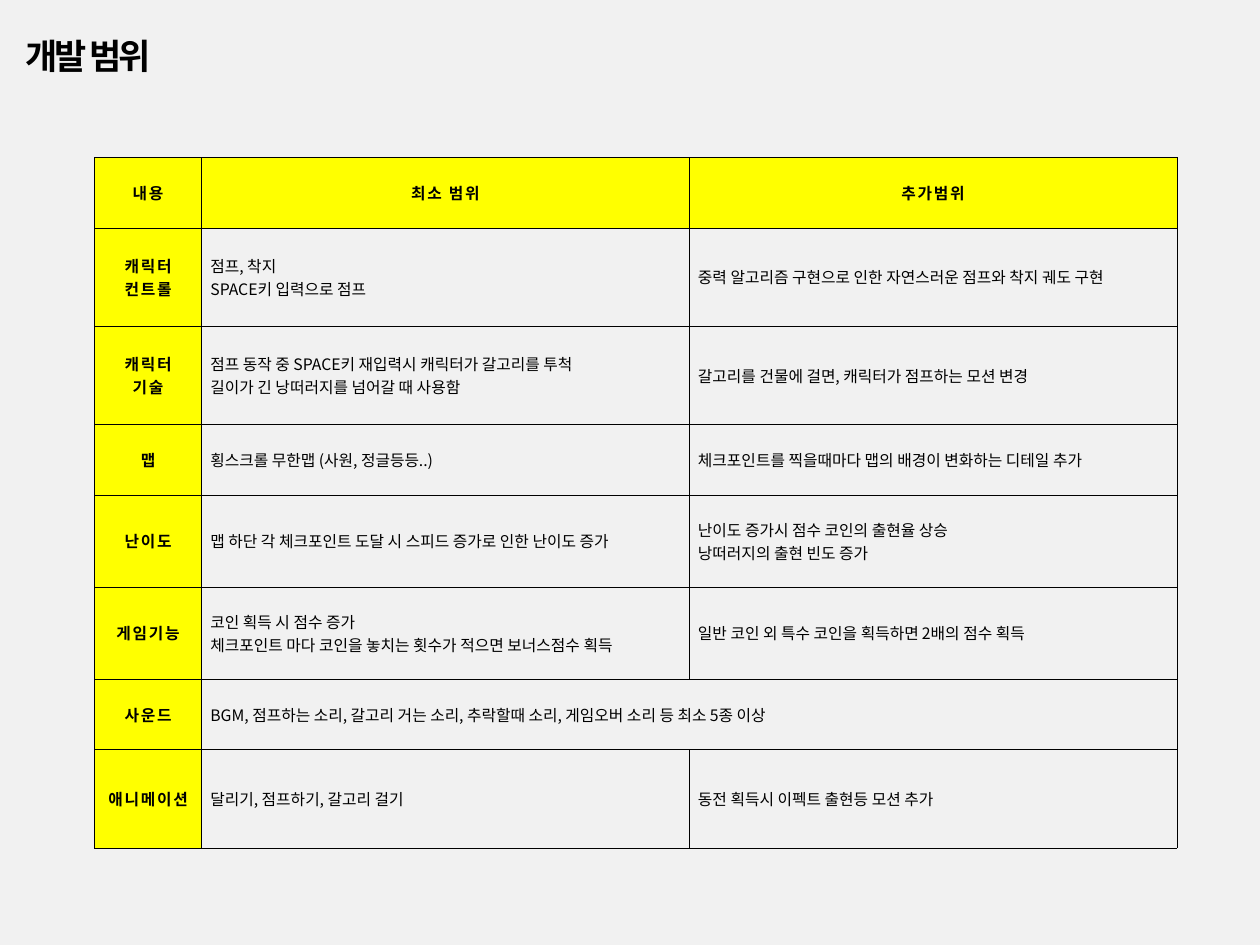
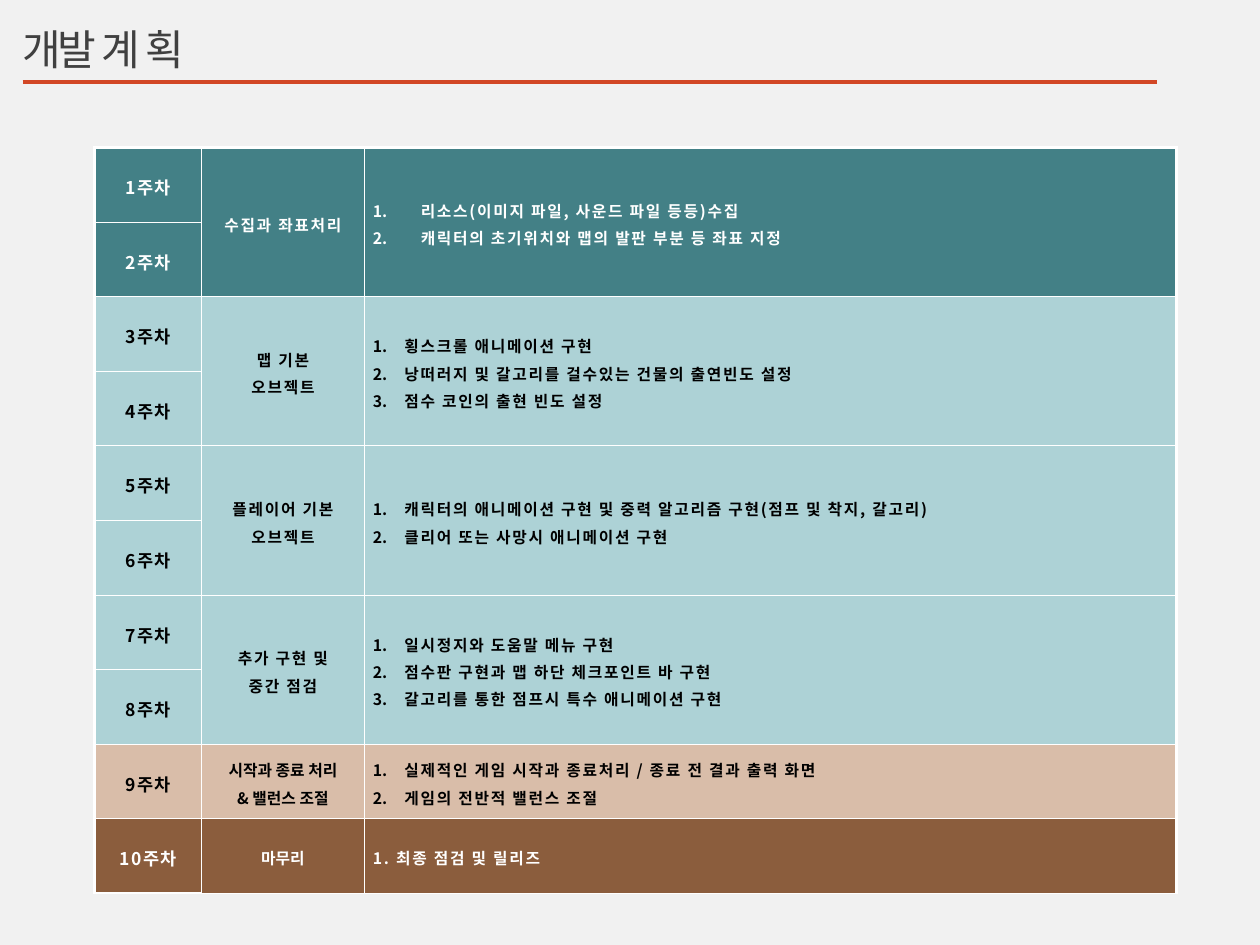
from lxml import etree
from pptx import Presentation, util as u
from pptx.dml.color import RGBColor
from pptx.enum import shapes, text
from pptx.oxml.ns import qn

Inches, Pt = u.Inches, u.Pt
KOREAN = "Noto Sans CJK KR"
BACKGROUND, BLACK, WHITE = "F1F1F1", "000000", "FFFFFF"
YELLOW, ACCENT, TITLE_GREY = "FFFF00", "D24726", "404040"
TEAL, PALE_TEAL, SAND, BROWN = "438086", "ADD2D6", "D9BDA9", "8B5D3D"
THIN, THICK = 0.28, 1.7
CENTER, JUSTIFY, LEFT = (text.PP_ALIGN.CENTER, text.PP_ALIGN.JUSTIFY,
                         text.PP_ALIGN.LEFT)

SCOPE_HEADER = ["내용", "최소 범위", "추가범위"]
# Lines of the row label, the minimum scope and the additional scope
SCOPE = [
    (["캐릭터", "컨트롤"], ["점프, 착지", "SPACE키 입력으로 점프"],
     ["중력 알고리즘 구현으로 인한 자연스러운 점프와 착지 궤도 구현"]),
    (["캐릭터", "기술"],
     ["점프 동작 중 SPACE키 재입력시 캐릭터가 갈고리를 투척",
      "길이가 긴 낭떠러지를 넘어갈 때 사용함"],
     ["갈고리를 건물에 걸면, 캐릭터가 점프하는 모션 변경"]),
    (["맵"], ["횡스크롤 무한맵 (사원, 정글등등..)"],
     ["체크포인트를 찍을때마다 맵의 배경이 변화하는 디테일 추가"]),
    (["난이도"], ["맵 하단 각 체크포인트 도달 시 스피드 증가로 인한 난이도 증가"],
     ["난이도 증가시 점수 코인의 출현율 상승", "낭떠러지의 출현 빈도 증가"]),
    (["게임기능"],
     ["코인 획득 시 점수 증가",
      "체크포인트 마다 코인을 놓치는 횟수가 적으면 보너스점수 획득"],
     ["일반 코인 외 특수 코인을 획득하면 2배의 점수 획득"]),
    (["사운드"],
     ["BGM, 점프하는 소리, 갈고리 거는 소리, 추락할때 소리, "
      "게임오버 소리 등 최소 5종 이상"], None),
    (["애니메이션"], ["달리기, 점프하기, 갈고리 걸기"],
     ["동전 획득시 이펙트 출현등 모션 추가"]),
]

# Weeks, fill, text colour, phase, phase letter spacing, tasks, number indent
PLAN = [
    (2, TEAL, WHITE, ["수집과 좌표처리"], 1,
     ["리소스(이미지 파일, 사운드 파일 등등)수집",
      "캐릭터의 초기위치와 맵의 발판 부분 등 좌표 지정"], 0.38),
    (2, PALE_TEAL, BLACK, ["맵 기본", "오브젝트"], 1,
     ["횡스크롤 애니메이션 구현",
      "낭떠러지 및 갈고리를 걸수있는 건물의 출연빈도 설정",
      "점수 코인의 출현 빈도 설정"], 0.25),
    (2, PALE_TEAL, BLACK, ["플레이어 기본", "오브젝트"], 1,
     ["캐릭터의 애니메이션 구현 및 중력 알고리즘 구현(점프 및 착지, 갈고리)",
      "클리어 또는 사망시 애니메이션 구현"], 0.25),
    (2, PALE_TEAL, BLACK, ["추가 구현 및", "중간 점검"], 1,
     ["일시정지와 도움말 메뉴 구현",
      "점수판 구현과 맵 하단 체크포인트 바 구현",
      "갈고리를 통한 점프시 특수 애니메이션 구현"], 0.25),
    (1, SAND, BLACK, ["시작과 종료 처리", "& 밸런스 조절"], 0,
     ["실제적인 게임 시작과 종료처리 / 종료 전 결과 출력 화면",
      "게임의 전반적 밸런스 조절"], 0.25),
    (1, BROWN, WHITE, ["마무리"], 0, ["1. 최종 점검 및 릴리즈"], None),
]


def rgb(hex_color):
    return RGBColor.from_string(hex_color)


class Deck:
    def __init__(self):
        self.prs = Presentation()
        self.prs.slide_width, self.prs.slide_height = Inches(10), Inches(7.5)
        fill = self.prs.slide_master.background.fill
        fill.solid()
        fill.fore_color.rgb = rgb(BACKGROUND)
        self.slide = None

    def new_slide(self):
        self.slide = self.prs.slides.add_slide(self.prs.slide_layouts[5])

    def run(self, paragraph, words, size, color=BLACK, bold=False, spacing=0,
            latin=KOREAN):
        run = paragraph.add_run()
        run.text = words
        font = run.font
        font.size, font.bold, font.name = Pt(size), bold, latin
        font.color.rgb = rgb(color)
        properties = run._r.get_or_add_rPr()
        properties.set("spc", str(round(spacing * 100)))
        etree.SubElement(properties, qn("a:ea"), typeface=KOREAN)

    def title(self, box, pieces, space_before, **style):
        """Place the title; pieces are (words, letter spacing) pairs."""
        title = self.slide.shapes.title
        title.left, title.top, title.width, title.height = map(Inches, box)
        frame = title.text_frame
        frame.margin_left = frame.margin_right = frame.margin_bottom = 0
        frame.margin_top = Inches(0.02)
        frame.vertical_anchor = text.MSO_ANCHOR.TOP
        frame.auto_size = text.MSO_AUTO_SIZE.NONE
        paragraph = frame.paragraphs[0]
        paragraph.alignment = LEFT
        paragraph.space_before = Pt(space_before)
        paragraph._p.get_or_add_pPr().set("marL", str(Inches(0.01)))
        for words, spacing in pieces:
            self.run(paragraph, words, spacing=spacing, **style)

    def rule(self, left, right, y, color, width):
        rule = self.slide.shapes.add_connector(
            shapes.MSO_CONNECTOR.STRAIGHT,
            Inches(left), Inches(y), Inches(right), Inches(y))
        rule.line.color.rgb, rule.line.width = rgb(color), Pt(width)
        etree.SubElement(rule._element.spPr, qn("a:effectLst"))

    def table(self, left, top, widths, heights):
        frame = self.slide.shapes.add_table(
            len(heights), len(widths), Inches(left), Inches(top),
            Inches(sum(widths)), Inches(sum(heights)))
        table = frame.table
        table.first_row = table.horz_banding = False
        for column, width in zip(table.columns, widths):
            column.width = Inches(width)
        for row, height in zip(table.rows, heights):
            row.height = Inches(height)
        return table

    def cell(self, cell, lines, align, fill=None, line_spacing=1.0,
             number_indent=None, **style):
        cell.vertical_anchor = text.MSO_ANCHOR.MIDDLE
        cell.margin_left = cell.margin_right = Inches(0.07)
        cell.margin_top = cell.margin_bottom = Inches(0.02)
        if fill:
            cell.fill.solid()
            cell.fill.fore_color.rgb = rgb(fill)
        else:
            cell.fill.background()
        frame = cell.text_frame
        for i, line in enumerate(lines):
            paragraph = frame.add_paragraph() if i else frame.paragraphs[0]
            paragraph.alignment = align
            paragraph.line_spacing = line_spacing
            if number_indent:
                self.number(paragraph, number_indent)
            self.run(paragraph, line, **style)

    def number(self, paragraph, indent):
        properties = paragraph._p.get_or_add_pPr()
        properties.set("marL", str(Inches(indent)))
        properties.set("indent", str(-Inches(indent)))
        etree.SubElement(properties, qn("a:buFont"), typeface="+mj-lt")
        etree.SubElement(properties, qn("a:buAutoNum"), type="arabicPeriod")

    def borders(self, cell, color, **widths):
        """Draw the sides of a cell; widths are points for L, R, T and B."""
        properties = cell._tc.get_or_add_tcPr()
        for i, side in enumerate("LRTB"):
            line = etree.Element(qn(f"a:ln{side}"),
                                 w=str(Pt(widths.get(side, THIN))))
            fill = etree.SubElement(line, qn("a:solidFill"))
            etree.SubElement(fill, qn("a:srgbClr"), val=color)
            properties.insert(i, line)


def scope_slide(deck):
    deck.new_slide()
    deck.title((0.19, 0.25, 1.89, 0.35), [("개발 범위", -1.6)], 1.2,
               size=20, bold=True)
    table = deck.table(0.75, 1.25, [0.85, 3.87, 3.87],
                       [0.56, 0.78, 0.78, 0.56, 0.73, 0.73, 0.56, 0.78])
    label = dict(align=CENTER, fill=YELLOW, size=9, bold=True, spacing=1)
    for column, heading in enumerate(SCOPE_HEADER):
        deck.cell(table.cell(0, column), [heading], **label)
    for row, (topic, minimum, extra) in enumerate(SCOPE, 1):
        deck.cell(table.cell(row, 0), topic, **label)
        deck.cell(table.cell(row, 1), minimum, JUSTIFY, size=9)
        if extra:
            deck.cell(table.cell(row, 2), extra, JUSTIFY, size=9)
        else:
            table.cell(row, 1).merge(table.cell(row, 2))
    for cell in table.iter_cells():
        deck.borders(cell, BLACK)


def plan_slide(deck):
    deck.new_slide()
    deck.rule(0.18, 9.18, 0.65, ACCENT, 2.04)
    deck.title((0.17, 0.17, 2.44, 0.42), [("개발 ", -2.2), ("계획", 3.2)], 1,
               size=24, color=TITLE_GREY, latin="Arial")
    weeks = sum(phase[0] for phase in PLAN)
    table = deck.table(0.75, 1.17, [0.85, 1.29, 6.45], [5.92 / weeks] * weeks)
    row = 0
    for span, fill, color, phase, phase_spacing, tasks, indent in PLAN:
        style = dict(fill=fill, color=color, bold=True, line_spacing=1.2)
        for week in range(row, row + span):
            deck.cell(table.cell(week, 0), [f"{week + 1}주차"], CENTER,
                      size=10, spacing=1, **style)
        deck.cell(table.cell(row, 1), phase, CENTER, size=9,
                  spacing=phase_spacing, **style)
        deck.cell(table.cell(row, 2), tasks, LEFT, size=9, spacing=1,
                  number_indent=indent, **style)
        if span > 1:
            for column in (1, 2):
                table.cell(row, column).merge(
                    table.cell(row + span - 1, column))
        row += span
    for row in range(weeks):
        for column in range(3):
            deck.borders(
                table.cell(row, column), WHITE,
                L=THIN if column else THICK,
                R=THICK if column == 2 else THIN,
                T=THIN if row else THICK,
                B=THICK if row == weeks - 1 and column == 0 else THIN)


def main():
    deck = Deck()
    scope_slide(deck)
    plan_slide(deck)
    deck.prs.save("out.pptx")


if __name__ == "__main__":
    main()
